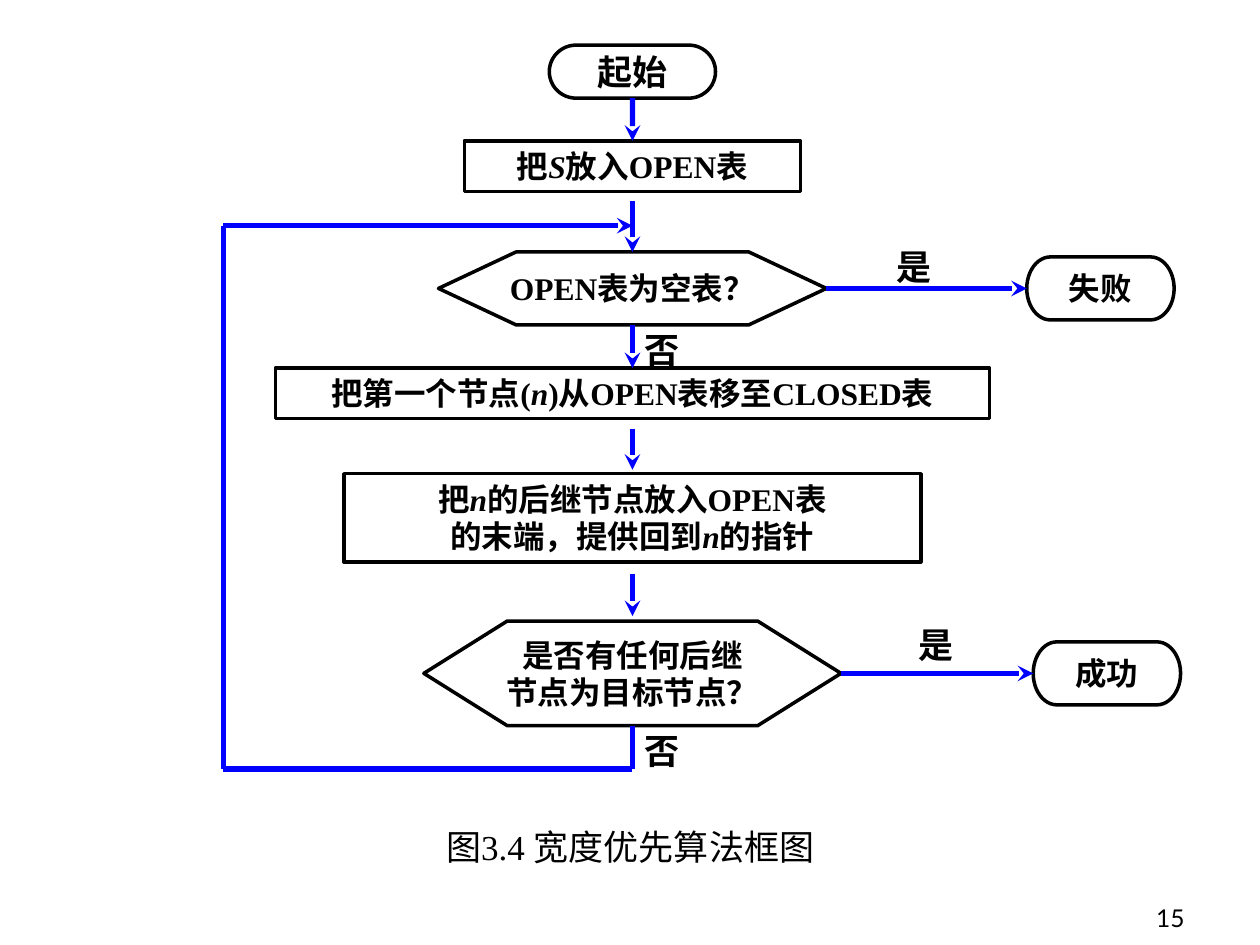
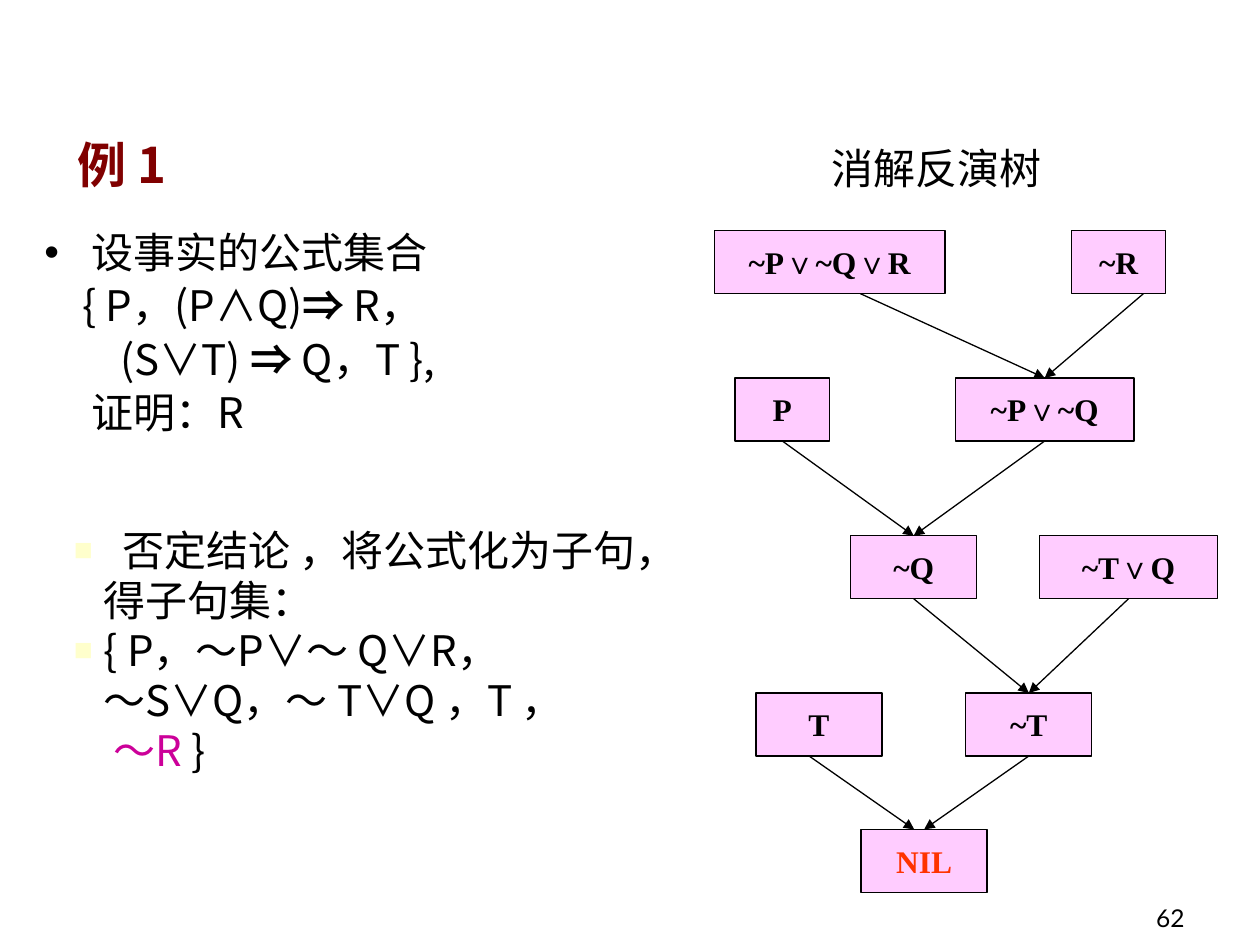
from lxml import etree
from pptx import Presentation
from pptx.dml.color import RGBColor
from pptx.enum.shapes import MSO_CONNECTOR as CONNECTOR, MSO_SHAPE as SHAPE
from pptx.enum.text import MSO_ANCHOR as ANCHOR, MSO_AUTO_SIZE as AUTO_SIZE, PP_ALIGN as ALIGN
from pptx.oxml.ns import qn
from pptx.util import Cm, Pt

BLACK = RGBColor(0x00, 0x00, 0x00)
BLUE = RGBColor(0x00, 0x00, 0xFF)
MAROON = RGBColor(0x80, 0x00, 0x00)
MAGENTA = RGBColor(0xCC, 0x00, 0x99)
RED = RGBColor(0xFF, 0x33, 0x00)
PINK = RGBColor(0xFF, 0xCC, 0xFF)
PALE_YELLOW = RGBColor(0xFF, 0xFF, 0xCC)

SERIF, LATO = "Times New Roman", "Lato"
CJK_SC, CJK_JP = "Noto Sans CJK SC", "Noto Sans CJK JP"
LINE_PITCH = 1.19  # line height as a multiple of the text size
TOP, LEFT, BOTTOM, RIGHT = range(4)
FLOW_X = 12.75  # centre line of the flowchart


def write(paragraph, text, size, latin=SERIF, asian=CJK_SC, color=BLACK,
          bold=False, align=ALIGN.LEFT, accent=None, tightness=1):
    """Fill a paragraph; accent(font) restyles the parts between asterisks."""
    paragraph.alignment = align
    paragraph.line_spacing = Pt(round(size * LINE_PITCH * tightness, 1))
    for index, part in enumerate(text.split("*")):
        if not part:
            continue
        run = paragraph.add_run()
        run.text = part
        font = run.font
        font.size, font.name, font.bold = Pt(size), latin, bold
        font.color.rgb = color
        etree.SubElement(run._r.get_or_add_rPr(), qn("a:ea"), typeface=asian)
        if index % 2:
            accent(font)


def italic(font):
    font.italic = True


def strong(font):
    font.bold = True


def magenta(font):
    font.color.rgb = MAGENTA


def place(shape, left, top, width, height):
    shape.left, shape.top = Cm(left), Cm(top)
    shape.width, shape.height = Cm(width), Cm(height)


def add_paragraph(text_frame, index):
    return text_frame.add_paragraph() if index else text_frame.paragraphs[0]


def add_label(slide, text, left, top, width, height, size, **style):
    box = slide.shapes.add_textbox(Cm(left), Cm(top), Cm(width), Cm(height))
    box.text_frame.word_wrap = True
    box.text_frame.vertical_anchor = ANCHOR.MIDDLE
    write(box.text_frame.paragraphs[0], text, size, **style)
    return box


def add_page_number(slide, number):
    add_label(slide, number, 15.09, 18.2, 9.04, 0.6, 14, latin=LATO, align=ALIGN.RIGHT)


def add_box(slide, kind, text, left, top, width, height,
            size=18, fill=None, line_width=2, color=BLACK):
    shape = slide.shapes.add_shape(kind, Cm(left), Cm(top), Cm(width), Cm(height))
    shape.shadow.inherit = False
    if fill is None:
        shape.fill.background()
    else:
        shape.fill.solid()
        shape.fill.fore_color.rgb = fill
    shape.line.color.rgb = BLACK
    shape.line.width = Pt(line_width)
    text_frame = shape.text_frame
    text_frame.word_wrap = False
    text_frame.vertical_anchor = ANCHOR.MIDDLE
    for index, line in enumerate(text.split("\n")):
        write(add_paragraph(text_frame, index), line, size, color=color,
              bold=True, align=ALIGN.CENTER, accent=italic)
    return shape


def add_step(slide, kind, text, top, width, height, size=18):
    """Add a box centred on the flowchart's centre line."""
    return add_box(slide, kind, text, FLOW_X - width / 2, top, width, height, size)


def add_line(slide, start, end, color=BLUE, width=3, head="stealth",
             begin_at=None, end_at=None):
    """Draw a line between points; begin_at and end_at are (shape, side) joints."""
    line = slide.shapes.add_connector(
        CONNECTOR.STRAIGHT, *(Cm(value) for value in (*start, *end)))
    if begin_at:
        line.begin_connect(*begin_at)
    if end_at:
        line.end_connect(*end_at)
    line.line.color.rgb = color
    line.line.width = Pt(width)
    if head:
        etree.SubElement(line.line._get_or_add_ln(), qn("a:tailEnd"), type=head)
    etree.SubElement(line._element.spPr, qn("a:effectLst"))
    return line


def set_bullet(paragraph, indent, char=None, color=None, percent=None):
    """Set the text indent in cm; a bullet, if any, hangs at the left edge."""
    properties = paragraph._p.get_or_add_pPr()
    properties.set("marL", str(Cm(indent)))
    properties.set("indent", str(-Cm(indent) if char else 0))
    if char is None:
        etree.SubElement(properties, qn("a:buNone"))
        return
    if color is not None:
        holder = etree.SubElement(properties, qn("a:buClr"))
        etree.SubElement(holder, qn("a:srgbClr"), val=str(color))
    if percent:
        etree.SubElement(properties, qn("a:buSzPct"), val=str(percent * 1000))
    etree.SubElement(properties, qn("a:buFont"), typeface="Arial")
    etree.SubElement(properties, qn("a:buChar"), char=char)


def write_list(text_frame, items, accent, space_before=0, tightness=1, **bullet):
    """Write (text, indent, bullet character) items."""
    for index, (text, indent, char) in enumerate(items):
        paragraph = add_paragraph(text_frame, index)
        write(paragraph, text, 24, CJK_JP, CJK_JP, accent=accent, tightness=tightness)
        paragraph.space_before = Pt(space_before)
        set_bullet(paragraph, indent, char, **bullet)


def build_flowchart_slide(presentation):
    slide = presentation.slides.add_slide(presentation.slide_layouts[6])
    add_page_number(slide, "15")
    add_label(slide, "图3.4 宽度优先算法框图", 8.36, 16.51, 8.69, 1.12, 20,
              asian=CJK_JP, align=ALIGN.CENTER)

    start = add_step(slide, SHAPE.FLOWCHART_TERMINATOR, "起始", 0.91, 3.35, 1.07, 20)
    put = add_step(slide, SHAPE.RECTANGLE, "把*S*放入OPEN表", 2.84, 6.78, 1.02)
    empty = add_step(slide, SHAPE.FLOWCHART_PREPARATION, "OPEN表为空表？", 5.08, 7.82, 1.47)
    move = add_step(slide, SHAPE.RECTANGLE, "把第一个节点(*n*)从OPEN表移至CLOSED表",
                    7.42, 14.4, 1.02)
    add_step(slide, SHAPE.RECTANGLE, "把*n*的后继节点放入OPEN表\n的末端，提供回到*n*的指针",
             9.55, 11.63, 1.78)
    goal = add_step(slide, SHAPE.FLOWCHART_PREPARATION, "是否有任何后继\n节点为目标节点？",
                    12.52, 8.41, 2.11)
    failure = add_box(slide, SHAPE.FLOWCHART_TERMINATOR, "失败", 20.7, 5.18, 2.97, 1.27)
    success = add_box(slide, SHAPE.FLOWCHART_TERMINATOR, "成功", 20.83, 12.94, 2.97, 1.27)

    for top, bottom, begin_at, end_at in (
            (1.98, 2.84, (start, BOTTOM), (put, TOP)),
            (4.06, 5.08, None, (empty, TOP)),
            (6.55, 7.42, (empty, BOTTOM), (move, TOP)),
            (8.64, 9.47, None, None),
            (11.58, 12.42, None, None)):
        add_line(slide, (FLOW_X, top), (FLOW_X, bottom), begin_at=begin_at, end_at=end_at)
    for question, answer, y in ((empty, failure, 5.81), (goal, success, 13.57)):
        add_line(slide, (16.7, y), (20.7, y),
                 begin_at=(question, RIGHT), end_at=(answer, LEFT))

    loop_left, loop_top, loop_bottom = 4.5, 4.55, 15.5
    add_line(slide, (FLOW_X, 14.63), (FLOW_X, loop_bottom), head=None,
             begin_at=(goal, BOTTOM))
    add_line(slide, (FLOW_X, loop_bottom), (loop_left, loop_bottom), head=None)
    add_line(slide, (loop_left, loop_bottom), (loop_left, loop_top), head=None)
    add_line(slide, (loop_left, loop_top), (FLOW_X, loop_top))

    for text, left, top in (("是", 17.83, 4.9), ("否", FLOW_X, 6.58),
                            ("是", 18.26, 12.52), ("否", FLOW_X, 14.66)):
        add_label(slide, text, left, top, 2.34, 0.94, 20, bold=True)


def build_resolution_slide(presentation):
    slide = presentation.slides.add_slide(presentation.slide_layouts[1])
    add_page_number(slide, "62")

    title = slide.shapes.title
    place(title, 1.3, 1.73, 6.6, 3.18)
    title.text_frame.vertical_anchor = ANCHOR.MIDDLE
    write(title.text_frame.paragraphs[0], "例 1", 28, CJK_SC, color=MAROON, bold=True)

    body = slide.placeholders[1]
    place(body, 0.64, 4.55, 12.5, 5.28)
    body.text_frame.auto_size = AUTO_SIZE.NONE
    write_list(body.text_frame, (
        ("设事实的公式集合", 0.96, "•"),
        ("{ P，(P∧Q)*⇒ *R，", 0.76, None),
        ("(S∨T)* ⇒ *Q，T },", 1.53, None),
        ("证明：R", 0.96, None)), strong, space_before=4.8, tightness=0.9)

    clauses = slide.shapes.add_textbox(Cm(1.24), Cm(10.46), Cm(13), Cm(5.38))
    clauses.text_frame.word_wrap = True
    write_list(clauses.text_frame, (
        ("否定结论 ，将公式化为子句，", 0.98, "■"),
        ("得子句集：", 0.6, None),
        ("{ P，～P∨～ Q∨R，", 0.6, "■"),
        ("～S∨Q，～ T∨Q ，T ，", 0.6, None),
        ("*～R* }", 0.8, None)), magenta, color=PALE_YELLOW, percent=75)

    add_label(slide, "消解反演树", 16.51, 2.74, 5, 1.3, 24, latin=CJK_SC)

    nodes = {}
    for text, left, top, width in (
            ("~P∨~Q∨R", 14.4, 4.65, 4.65), ("~R", 21.6, 4.65, 1.9),
            ("P", 14.82, 7.62, 1.9), ("~P∨~Q", 19.26, 7.62, 3.6),
            ("~Q", 17.15, 10.8, 2.54), ("~T∨Q", 20.95, 10.8, 3.6),
            ("T", 15.24, 13.97, 2.54), ("~T", 19.47, 13.97, 2.54),
            ("NIL", 17.36, 16.72, 2.54)):
        nodes[text] = add_box(slide, SHAPE.RECTANGLE, text, left, top, width, 1.27,
                              fill=PINK, line_width=0.75,
                              color=RED if text == "NIL" else BLACK)

    # Shifts move an arrow's ends sideways from the middle of the box.
    for parent, child, start_shift, end_shift in (
            ("~P∨~Q∨R", "~P∨~Q", 0.62, 0), ("~R", "~P∨~Q", 0.5, 0),
            ("P", "~Q", 0, 0), ("~P∨~Q", "~Q", 0, 0),
            ("~Q", "~T", 0, 0), ("~T∨Q", "~T", 0, 0),
            ("T", "NIL", -0.2, -0.2), ("~T", "NIL", 0, 0)):
        upper, lower = nodes[parent], nodes[child]
        start = ((upper.left + upper.width / 2) / Cm(1) + start_shift,
                 (upper.top + upper.height) / Cm(1))
        end = ((lower.left + lower.width / 2) / Cm(1) + end_shift, lower.top / Cm(1))
        add_line(slide, start, end, BLACK, 0.75, "triangle",
                 begin_at=None if start_shift else (upper, BOTTOM),
                 end_at=None if end_shift else (lower, TOP))


def main():
    presentation = Presentation()
    presentation.slide_width, presentation.slide_height = Cm(25.4), Cm(19.05)
    build_flowchart_slide(presentation)
    build_resolution_slide(presentation)
    presentation.save("out.pptx")


if __name__ == "__main__":
    main()
